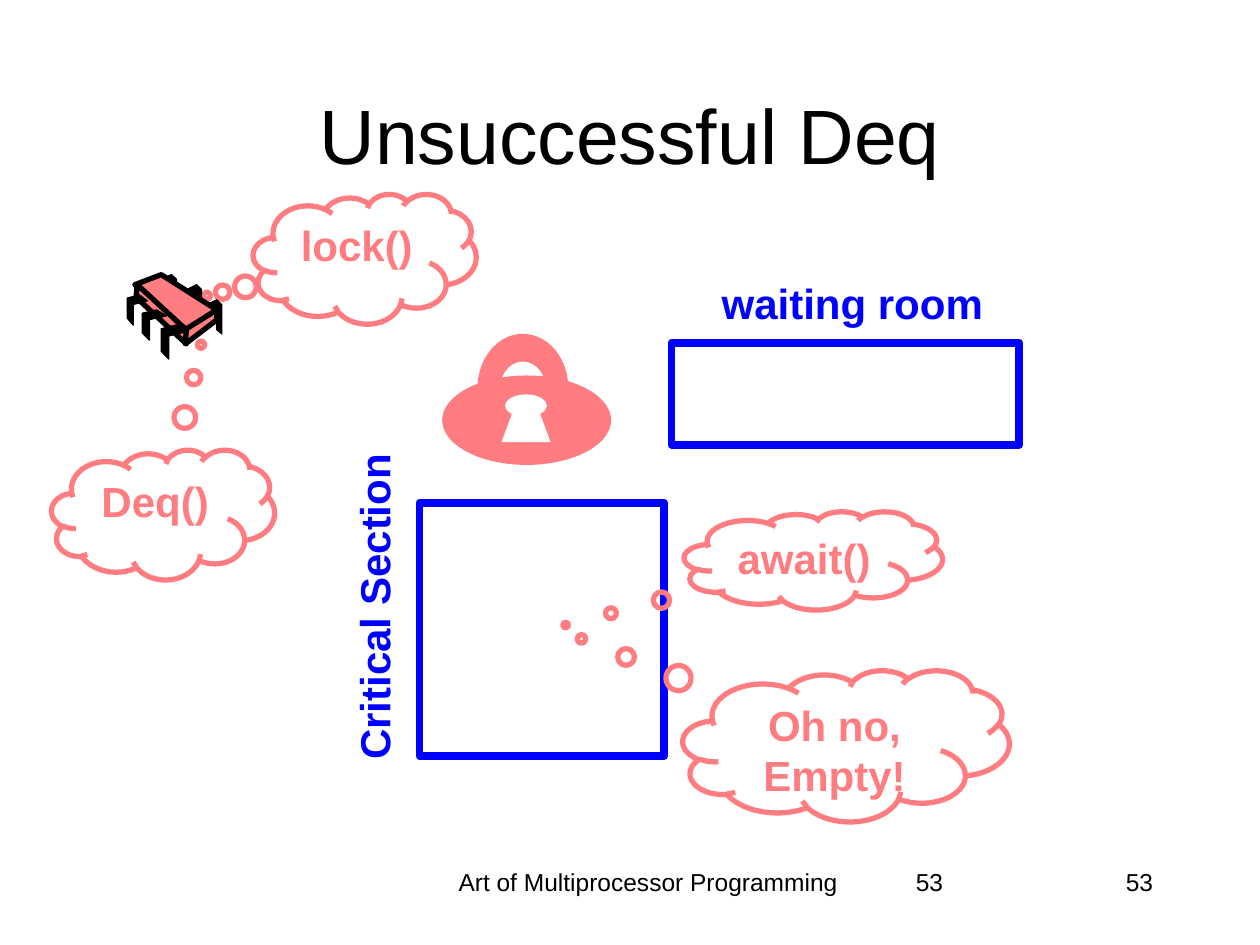
from math import cos, pi, sin

from pptx import Presentation
from pptx.dml.color import RGBColor
from pptx.enum.shapes import MSO_SHAPE
from pptx.enum.text import MSO_ANCHOR, PP_ALIGN
from pptx.util import Inches, Pt

RECT, OVAL, CLOUD = MSO_SHAPE.RECTANGLE, MSO_SHAPE.OVAL, MSO_SHAPE.CLOUD_CALLOUT
TOP, MIDDLE = MSO_ANCHOR.TOP, MSO_ANCHOR.MIDDLE
LEFT, CENTER, RIGHT = PP_ALIGN.LEFT, PP_ALIGN.CENTER, PP_ALIGN.RIGHT
BLACK = RGBColor(0x00, 0x00, 0x00)
WHITE = RGBColor(0xFF, 0xFF, 0xFF)
BLUE = RGBColor(0x00, 0x00, 0xFF)
PINK = RGBColor(0xFF, 0x7C, 0x80)

BACK_PIN = [(0, 0.15), (0.67, 0), (1, 0.15), (1, 1), (0.67, 0.88), (0.67, 0.3), (0, 0.44)]
FRONT_PIN = [(0.6, 0), (1, 0.2), (0.3, 0.32), (0.3, 1), (0, 0.77), (0, 0.11)]


class Deck:
    """Draws styled elements on the current slide or group."""

    def __init__(self):
        self.prs = Presentation()
        self.prs.slide_width, self.prs.slide_height = Inches(10), Inches(7.5)
        self.slide = self.prs.slides.add_slide(self.prs.slide_layouts[5])
        self.shapes = self.slide.shapes

    def group(self):
        self.shapes = self.slide.shapes.add_group_shape().shapes

    def style(self, frame, text, size, color, align, bold=False):
        frame.text = text
        para = frame.paragraphs[0]
        para.alignment = align
        font = para.font
        font.name, font.size, font.bold = "Arial", Pt(size), bold
        font.color.rgb = color

    def paint(self, shape, fill=None, line=None, width=0):
        shape.shadow.inherit = False
        if fill is None:
            shape.fill.background()
        else:
            shape.fill.solid()
            shape.fill.fore_color.rgb = fill
        if line is None:
            shape.line.fill.background()
        else:
            shape.line.color.rgb = line
            shape.line.width = Pt(width)

    def title(self, text, box):
        shape = self.slide.shapes.title
        shape.left, shape.top, shape.width, shape.height = map(Inches, box)
        shape.text_frame.vertical_anchor = MIDDLE
        self.style(shape.text_frame, text, 44, BLACK, CENTER)

    def label(self, text, box, size, color, align, bold=False, wrap=True, turn=0):
        shape = self.shapes.add_textbox(*map(Inches, box))
        shape.rotation = turn
        shape.text_frame.word_wrap = wrap
        self.style(shape.text_frame, text, size, color, align, bold)

    def shape(self, kind, box, fill=None, line=None, width=0):
        shape = self.shapes.add_shape(kind, *map(Inches, box))
        self.paint(shape, fill, line, width)
        return shape

    def cloud(self, text, box, tail):
        shape = self.shape(CLOUD, box, line=PINK, width=3)
        shape.adjustments[0], shape.adjustments[1] = tail
        shape.text_frame.vertical_anchor = TOP
        self.style(shape.text_frame, text, 24, PINK, CENTER, True)

    def outline(self, points, fill, line=None, width=0):
        spots = [(Inches(x), Inches(y)) for x, y in points]
        pen = self.shapes.build_freeform(*spots[0])
        pen.add_line_segments(spots[1:], close=True)
        self.paint(pen.convert_to_shape(), fill, line, width)

    def pin(self, form, x, y, w, h):
        self.outline([(x + w * u, y + h * v) for u, v in form], BLACK, BLACK, 0.75)

    def lock(self):
        self.group()
        self.shape(OVAL, (3.51, 2.98, 1.34, 0.71), PINK)
        self.shape(OVAL, (4.01, 3.13, 0.33, 0.18), WHITE)
        self.outline([(3.98, 3.51), (4.08, 3.24), (4.27, 3.24), (4.37, 3.51)], WHITE)
        turns = [pi * i / 40 for i in range(41)]
        inner = [(4.15 - 0.18 * cos(t), 3.08 - 0.21 * sin(t)) for t in turns]
        outer = [(4.15 + 0.36 * cos(t), 3.08 - 0.43 * sin(t)) for t in turns]
        self.outline(inner + outer, PINK)
        self.shapes = self.slide.shapes

    def chip(self):
        self.group()
        for x, y, h in [(1.64, 2.38, 0.27), (1.48, 2.26, 0.27), (1.28, 2.18, 0.24)]:
            self.pin(BACK_PIN, x, y, 0.12, h)
        for face in [
            [(1.28, 2.18), (1.72, 2.46), (1.48, 2.62), (1.07, 2.26)],
            [(1.09, 2.26), (1.48, 2.62), (1.48, 2.73), (1.08, 2.36)],
            [(1.72, 2.46), (1.72, 2.54), (1.47, 2.73), (1.48, 2.61)],
        ]:
            self.outline(face, PINK, BLACK, 3)
        for x, y, w, h in [(1.28, 2.58, 0.2, 0.27), (1.13, 2.46, 0.19, 0.24), (1.01, 2.34, 0.16, 0.24)]:
            self.pin(FRONT_PIN, x, y, w, h)
        self.shapes = self.slide.shapes


def main():
    deck = Deck()
    deck.label("Art of Multiprocessor Programming", (3.42, 6.83, 3.45, 0.5), 14, BLACK, CENTER)
    for align in (LEFT, RIGHT):
        deck.label("53", (7.17, 6.83, 2.08, 0.5), 14, BLACK, align)
    deck.title("Unsuccessful Deq", (0.75, 0.44, 8.5, 1.25))
    for text, spot, turn, room in [
        ("Critical Section", (1.62, 4.6, 2.69, 0.5), 270, (3.33, 3.99, 1.94, 2.01)),
        ("waiting room", (5.61, 2.15, 2.29, 0.5), 0, (5.33, 2.72, 2.76, 0.81)),
    ]:
        deck.shape(RECT, room, line=BLUE, width=4.5)
        deck.label(text, spot, 24, BLUE, RIGHT, True, False, turn)
    deck.cloud("lock()", (2.01, 1.54, 1.77, 1.03), (-0.708, 0.285))
    deck.cloud("await()", (5.43, 4.06, 2.05, 0.78), (-0.959, 0.655))
    deck.lock()
    deck.cloud("Deq()", (0.41, 3.57, 1.77, 1.03), (0.17, -1.31))
    deck.cloud("Oh no, Empty!", (5.42, 5.32, 2.59, 1.2), (-0.811, -0.708))
    deck.chip()
    deck.prs.save("out.pptx")


if __name__ == "__main__":
    main()
